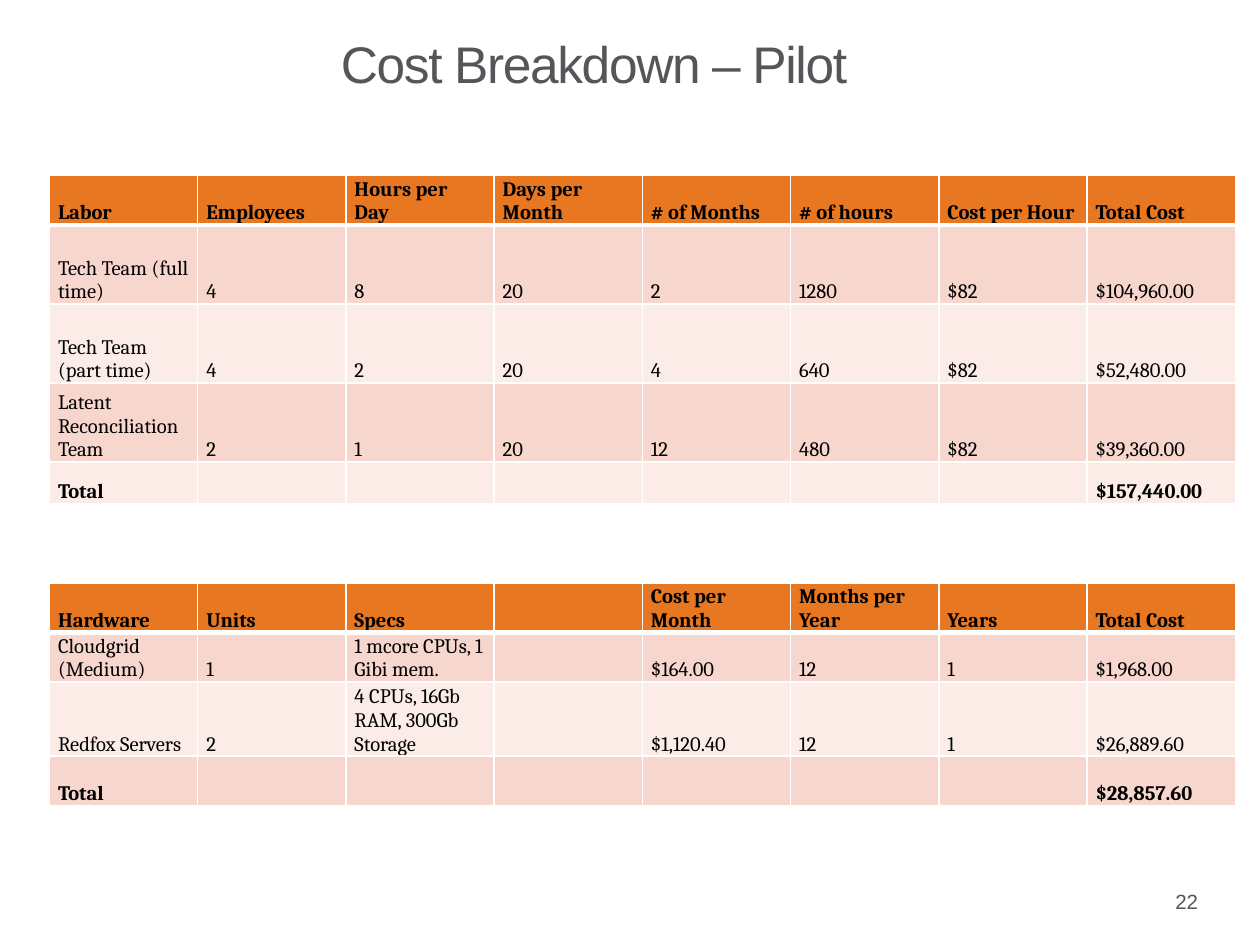
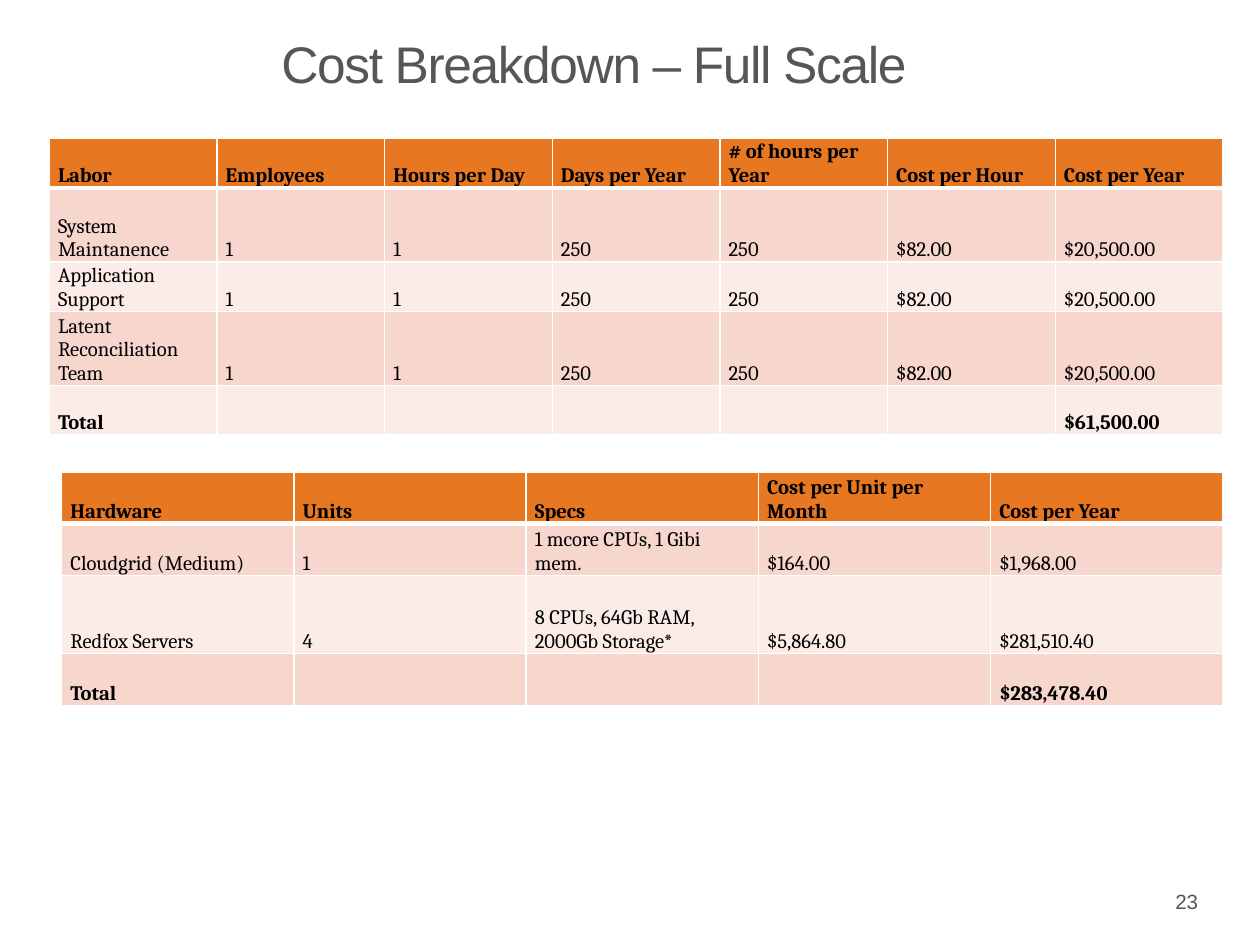
from lxml.etree import SubElement
from pptx import Presentation
from pptx.dml.color import RGBColor
from pptx.enum.text import MSO_ANCHOR as Anchor, MSO_AUTO_SIZE as AutoSize, PP_ALIGN as Align
from pptx.oxml.ns import qn
from pptx.util import Inches, Pt

ORANGE = RGBColor(0xE8, 0x77, 0x22)
BANDS = RGBColor(0xF6, 0xD6, 0xCD), RGBColor(0xFB, 0xEC, 0xE8)
GREY = RGBColor(0x55, 0x56, 0x5A)
BLACK = RGBColor(0, 0, 0)
WHITE = RGBColor(0xFF, 0xFF, 0xFF)

TITLE_FONT = {"name": "Arial", "size": Pt(30), "bold": False}
NUMBER_FONT = {"name": "Arial", "size": Pt(12)}
CELL_FONT = {"name": "Cambria", "size": Pt(12)}
TITLE_BOX = (0.01, 0.22, 9.6, 1)
NUMBER_BOX = (8.3, 7.09, 1.6, 0.41)
FIRST_NUMBER = 22

# Each table: box (left, top, width, height), row heights, header, body, total.
SLIDES = [
    ("Cost Breakdown – Pilot", [
        {
            "box": (0.4, 1.42, 9.6, 2.66),
            "heights": (0.34, 0.64, 0.64, 0.64, 0.34),
            "header": ("Labor", "Employees", "Hours per Day", "Days per Month",
                       "# of Months", "# of hours", "Cost per Hour", "Total Cost"),
            "body": [
                ("Tech Team (full time)", "4", "8", "20", "2", "1280", "$82", "$104,960.00"),
                ("Tech Team (part time)", "4", "2", "20", "4", "640", "$82", "$52,480.00"),
                ("Latent Reconciliation Team", "2", "1", "20", "12", "480", "$82", "$39,360.00"),
            ],
            "total": "$157,440.00",
        },
        {
            "box": (0.4, 4.72, 9.6, 1.8),
            "heights": (0.4, 0.4, 0.4, 0.4),
            "header": ("Hardware", "Units", "Specs", "", "Cost per Month",
                       "Months per Year", "Years", "Total Cost"),
            "body": [
                ("Cloudgrid (Medium)", "1", "1 mcore CPUs, 1 Gibi mem.", "",
                 "$164.00", "12", "1", "$1,968.00"),
                ("Redfox Servers", "2", "4 CPUs, 16Gb RAM, 300Gb Storage", "",
                 "$1,120.40", "12", "1", "$26,889.60"),
            ],
            "total": "$28,857.60",
        },
    ]),
    ("Cost Breakdown – Full Scale", [
        {
            "box": (0.4, 1.12, 9.5, 2.4),
            "heights": (0.4, 0.6, 0.4, 0.6, 0.4),
            "header": ("Labor", "Employees", "Hours per Day", "Days per Year",
                       "# of hours per Year", "Cost per Hour", "Cost per Year"),
            "body": [
                (role, "1", "1", "250", "250", "$82.00", "$20,500.00")
                for role in ("System Maintanence", "Application Support",
                             "Latent Reconciliation Team")
            ],
            "total": "$61,500.00",
        },
        {
            "box": (0.5, 3.82, 9.4, 1.9),
            "heights": (0.42, 0.42, 0.63, 0.42),
            "header": ("Hardware", "Units", "Specs", "Cost per Unit per Month",
                       "Cost per Year"),
            "body": [
                ("Cloudgrid (Medium)", "1", "1 mcore CPUs, 1 Gibi mem.", "$164.00", "$1,968.00"),
                ("Redfox Servers", "4", "8 CPUs, 64Gb RAM, 2000Gb Storage*",
                 "$5,864.80", "$281,510.40"),
            ],
            "total": "$283,478.40",
        },
    ]),
]


def inches(box):
    return [Inches(value) for value in box]


def set_format(target, values):
    for name, value in values.items():
        setattr(target, name, value)


def set_margins(target, horizontal, vertical):
    set_format(target, {
        "margin_left": Inches(horizontal), "margin_right": Inches(horizontal),
        "margin_top": Inches(vertical), "margin_bottom": Inches(vertical)})


def add_run(paragraph, text, font, color):
    run = paragraph.add_run()
    run.text = text
    set_format(run.font, font)
    run.font.color.rgb = color
    return run


def add_borders(cell, widths):
    """Draw white cell borders; widths maps a side (L, R, T, B) to points."""
    properties = cell._tc.get_or_add_tcPr()
    for side, width in widths.items():
        line = SubElement(properties, qn(f"a:ln{side}"), w=str(Pt(width)))
        fill = SubElement(line, qn("a:solidFill"))
        SubElement(fill, qn("a:srgbClr"), val=str(WHITE))


def fill_cell(cell, text, row, bold):
    add_borders(cell, {"L": 1, "R": 1, "T": 3 if row == 1 else 1, "B": 1 if row else 3})
    cell.fill.solid()
    cell.fill.fore_color.rgb = BANDS[(row - 1) % 2] if row else ORANGE
    cell.vertical_anchor = Anchor.BOTTOM
    set_margins(cell, 0.07, 0)
    paragraph = cell.text_frame.paragraphs[0]
    if text:
        add_run(paragraph, text, CELL_FONT | {"bold": bold}, BLACK)
    else:
        SubElement(paragraph._p, qn("a:endParaRPr"), sz="1200")


def add_cost_table(slide, box, heights, header, body, total):
    blanks = [""] * (len(header) - 2)
    rows = [header, *body, ("Total", *blanks, total)]
    frame = slide.shapes.add_table(len(rows), len(header), *inches(box))
    table = frame.table
    for column in table.columns:
        column.width = Inches(box[2] / len(header))
    for index, (height, texts) in enumerate(zip(heights, rows)):
        table.rows[index].height = Inches(height)
        bold = index in (0, len(rows) - 1)
        for cell, text in zip(table.rows[index].cells, texts):
            fill_cell(cell, text, index, bold)
    frame.height = Inches(box[3])


def set_title(slide, text):
    title = slide.shapes.title
    title.left, title.top, title.width, title.height = inches(TITLE_BOX)
    frame = title.text_frame
    set_format(frame, {"vertical_anchor": Anchor.TOP, "word_wrap": True,
                       "auto_size": AutoSize.NONE})
    set_margins(frame, 0.16, 0.1)
    paragraph = frame.paragraphs[0]
    set_format(paragraph, {"alignment": Align.CENTER, "line_spacing": 0.9})
    run = add_run(paragraph, text, TITLE_FONT, GREY)
    run.font._element.set("spc", "-80")


def add_slide_number(slide, number):
    frame = slide.shapes.add_textbox(*inches(NUMBER_BOX)).text_frame
    set_format(frame, {"vertical_anchor": Anchor.MIDDLE, "word_wrap": True})
    set_margins(frame, 0.2, 0.05)
    paragraph = frame.paragraphs[0]
    paragraph.alignment = Align.RIGHT
    add_run(paragraph, str(number), NUMBER_FONT, GREY)


def main():
    presentation = Presentation()
    presentation.slide_width, presentation.slide_height = Inches(10.2), Inches(7.65)
    title_only = presentation.slide_layouts[5]
    for number, (title, tables) in enumerate(SLIDES, FIRST_NUMBER):
        slide = presentation.slides.add_slide(title_only)
        set_title(slide, title)
        add_slide_number(slide, number)
        for table in tables:
            add_cost_table(slide, **table)
    presentation.save("out.pptx")


if __name__ == "__main__":
    main()
